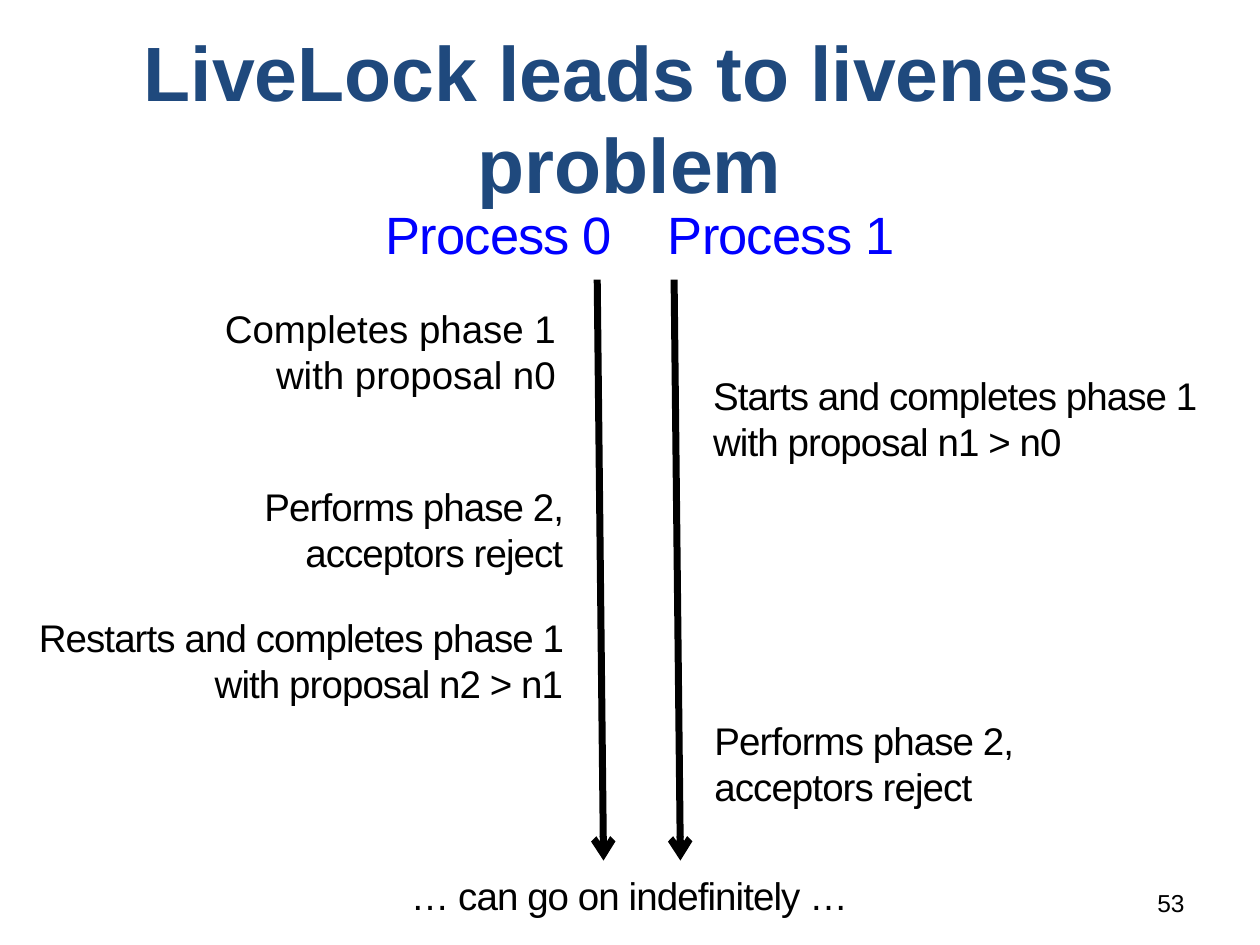
import pptx
import pptx.util
import pptx.dml.color
import pptx.enum.shapes
import pptx.enum.text
import lxml.etree
from pptx.oxml.ns import qn

ALIGN = pptx.enum.text.PP_ALIGN
ANCHOR = pptx.enum.text.MSO_ANCHOR
CELL = 0.1
SLIDE_COLUMNS, SLIDE_ROWS = 100, 75
NARROW, WIDE = (0.04, 0.04), (0.1, 0.05)


def cells(count):
    return pptx.util.Inches(count * CELL)


def color(hex_string):
    return pptx.dml.color.RGBColor.from_string(hex_string)


def inside(box, part):
    return (box[0] + part[0], box[1] + part[1], *part[2:])


def add_words(slide, box, words, size, align, ink="000000", bold=False,
              margins=NARROW, tight=True, anchor=ANCHOR.TOP):
    frame = slide.shapes.add_textbox(*map(cells, box)).text_frame
    frame.word_wrap = True
    frame.vertical_anchor = anchor
    frame.margin_left = frame.margin_right = pptx.util.Inches(margins[0])
    frame.margin_top = frame.margin_bottom = pptx.util.Inches(margins[1])
    paragraph = frame.paragraphs[0]
    paragraph.alignment = align
    run = paragraph.add_run()
    run.text = words
    paragraph.font.name = "Arial"
    paragraph.font.size = pptx.util.Pt(size)
    paragraph.font.bold = bold
    paragraph.font.color.rgb = color(ink)
    if tight:
        run._r.get_or_add_rPr().set("spc", "-50")


def add_timeline(slide, start, end):
    timeline = slide.shapes.add_connector(
        pptx.enum.shapes.MSO_CONNECTOR.STRAIGHT, *map(cells, start + end))
    timeline.line.color.rgb = color("000000")
    timeline.line.width = pptx.util.Pt(4)
    lxml.etree.SubElement(timeline.line._get_or_add_ln(), qn("a:tailEnd"), type="arrow")
    lxml.etree.SubElement(timeline._element.spPr, qn("a:effectLst"))


def add_title(slide, box):
    add_words(slide, box, "LiveLock leads to liveness problem", 44, ALIGN.CENTER,
              "1F497D", bold=True, margins=WIDE, tight=False, anchor=ANCHOR.MIDDLE)


def add_process(slide, box, name, heading_column, timeline_column, align, steps):
    add_words(slide, inside(box, (heading_column, 0, 28.4, 6.4)), name, 30,
              ALIGN.CENTER, "0000FF")
    add_timeline(slide, inside(box, (timeline_column, 6.6)),
                 inside(box, (timeline_column + 0.5, box[3])))
    for part, words, style in steps:
        add_words(slide, inside(box, part), words, 22, align, **style)


def add_footer(slide, box):
    add_words(slide, inside(box, (0, 0, 42.9, 4.5)), "… can go on indefinitely …",
              22, ALIGN.CENTER)
    add_words(slide, inside(box, (43.2, 1.2, 23.3, 3.5)), "53", 14, ALIGN.RIGHT,
              margins=WIDE, tight=False)


def main():
    deck = pptx.Presentation()
    deck.slide_width, deck.slide_height = cells(SLIDE_COLUMNS), cells(SLIDE_ROWS)
    slide = deck.slides.add_slide(deck.slide_layouts[6])
    add_title(slide, (5, 3, 90, 12.5))
    rejection = "Performs phase 2, acceptors reject"
    add_process(slide, (2.4, 15.6, 51.4, 52.7), "Process 0", 23, 45, ALIGN.RIGHT, [
        ((14.3, 8.1, 28.4, 12.8), "Completes phase 1 with proposal n0",
         {"margins": WIDE, "tight": False}),
        ((13, 22.3, 29.7, 9.3), rejection, {}),
        ((0, 32.7, 42.7, 10.3), "Restarts and completes phase 1 with proposal n2 > n1", {}),
    ])
    add_process(slide, (47.8, 15.6, 48, 52.7), "Process 1", 0, 5.7, ALIGN.LEFT, [
        ((8.4, 13.5, 39.6, 13), "Starts and completes phase 1 with proposal n1 > n0", {}),
        ((8.5, 40.9, 33.8, 9.4), rejection, {}),
    ])
    add_footer(slide, (28.5, 68.8, 66.5, 4.7))
    deck.save("out.pptx")


if __name__ == "__main__":
    main()
